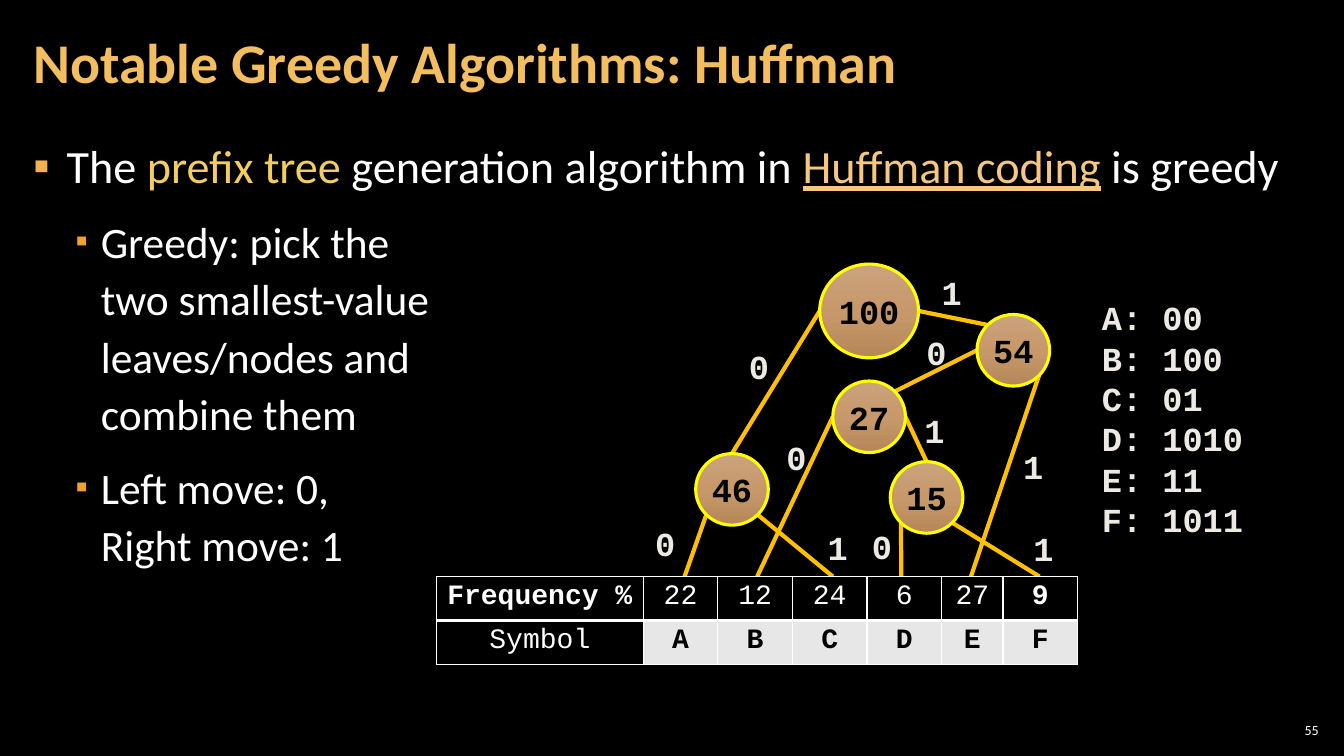
from lxml.etree import SubElement
from pptx import Presentation
from pptx.dml.color import RGBColor
from pptx.enum.shapes import MSO_CONNECTOR, MSO_SHAPE
from pptx.enum.text import MSO_ANCHOR, MSO_AUTO_SIZE, PP_ALIGN
from pptx.oxml.ns import qn
from pptx.util import Inches, Pt

COLORS = {
    "background": "000000", "white": "FFFFFF", "black": "000000",
    "title": "F3BE60", "term": "F3CD60", "link": "F6C781",
    "bullet": "F2B254", "sub_bullet": "F0A22E", "code": "ECEAE3",
    "edge": "FFC000", "ring": "FFFF00", "symbol": "E7E7E7",
    "node_top": "CAA37F", "node_middle": "C79869", "node_bottom": "B68758",
}
SANS, MONO = "Calibri", "Courier New"

# Positions below are inches from the left top corner of the region's box.
TREE_BOX = (6.4, 2.62, 4.14, 3.1)
NODES = {  # left, top, width, height
    "46": (0.5, 1.88, 0.72, 0.71), "15": (2.43, 1.96, 0.72, 0.71),
    "27": (1.86, 1.16, 0.72, 0.71), "54": (3.29, 0.5, 0.72, 0.71),
    "100": (1.73, 0, 0.98, 0.93),
}
DIAGONAL = 0.5 ** 0.5
SITES = {
    "top": (0, -1), "left": (-1, 0), "right": (1, 0),
    "top left": (-DIAGONAL, -DIAGONAL), "top right": (DIAGONAL, -DIAGONAL),
    "bottom left": (-DIAGONAL, DIAGONAL), "bottom right": (DIAGONAL, DIAGONAL),
}
BRANCHES = [
    ("100", "left", "46", "top"), ("100", "right", "54", "top left"),
    ("54", "left", "27", "top right"), ("27", "right", "15", "top"),
]
LEAVES = [  # node, site, x where the edge meets the table
    ("46", "bottom left", 0.39), ("27", "left", 1.11), ("46", "bottom right", 1.86),
    ("15", "bottom left", 2.54), ("54", "bottom right", 3.23), ("15", "bottom right", 3.91),
]
BITS = {
    "0": [(0.93, 0.76), (0, 2.52), (1.3, 1.67), (2.15, 2.55), (2.69, 0.62)],
    "1": [(2.84, 0.03), (3.65, 1.75), (3.75, 2.57), (1.71, 2.56), (2.67, 1.4)],
}
CODES = ["A: 00", "B: 100", "C: 01", "D: 1010", "E: 11", "F: 1011"]
FREQUENCY_ROWS = [
    ["Frequency %", "22", "12", "24", "6", "27", "9"],
    ["Symbol", "A", "B", "C", "D", "E", "F"],
]
COLUMN_WIDTHS = [2.05, 0.74, 0.74, 0.74, 0.74, 0.61, 0.74]


def rgb(name):
    return RGBColor.from_string(COLORS[name])


def style(font, size, color, name=MONO, bold=False):
    font.name, font.size, font.bold = name, Pt(size), bold
    font.color.rgb = rgb(color)


def place(shape, box):
    shape.left, shape.top, shape.width, shape.height = map(Inches, box)


def add_color(parent, name):
    SubElement(parent, qn("a:srgbClr"), val=COLORS[name])


def add_title(page, box):
    title = page.shapes.title
    place(title, box)
    frame = title.text_frame
    frame.auto_size = MSO_AUTO_SIZE.NONE
    frame.vertical_anchor = MSO_ANCHOR.MIDDLE
    frame.margin_left = frame.margin_right = Inches(0.12)
    para = frame.paragraphs[0]
    para.text = "Notable Greedy Algorithms: Huffman"
    para.alignment, para.line_spacing = PP_ALIGN.LEFT, 0.9
    style(para.font, 40, "title", SANS, True)


def set_bullet(para, indent, hanging, color, percent):
    props = para._p.get_or_add_pPr()
    props.set("marL", str(Inches(indent)))
    props.set("indent", str(-Inches(hanging)))
    add_color(SubElement(props, qn("a:buClr")), color)
    SubElement(props, qn("a:buSzPct"), val=str(percent * 1000))
    SubElement(props, qn("a:buFont"), typeface=SANS)
    SubElement(props, qn("a:buChar"), char="▪")


def add_body(page, box):
    body = page.placeholders[1]
    place(body, box)
    frame = body.text_frame
    frame.auto_size = MSO_AUTO_SIZE.NONE
    frame.margin_left = frame.margin_right = Inches(0.12)
    lead = frame.paragraphs[0]
    set_bullet(lead, 0.33, 0.33, "bullet", 100)
    for text, color in [("The ", "white"), ("prefix tree ", "term"),
                        ("generation algorithm in ", "white"),
                        ("Huffman coding", "link"), (" is greedy", "white")]:
        span = lead.add_run()
        span.text = text
        style(span.font, 33, color, SANS)
        span.font.underline = color == "link"
    for text in ["Greedy: pick the\ntwo smallest-value\nleaves/nodes and\ncombine them",
                 "Left move: 0,\nRight move: 1"]:
        para = frame.add_paragraph()
        para.text, para.level = text, 1
        set_bullet(para, 0.67, 0.25, "sub_bullet", 80)
        style(para.font, 31, "white", SANS)
    for para in frame.paragraphs:
        para.line_spacing = 1.1
        para.space_before = Pt(0 if para._p is lead._p else 6)
        para.space_after = Pt(6)


def add_text(page, box, lines):
    frame = page.shapes.add_textbox(*map(Inches, box)).text_frame
    frame.word_wrap = True
    for index, line in enumerate(lines):
        para = frame.paragraphs[0] if index == 0 else frame.add_paragraph()
        para.text = line
        style(para.font, 24, "code", bold=True)
    return frame


def site_point(node, site):
    """Point on the rim of a node, relative to the tree's box."""
    left, top, width, height = NODES[node]
    across, down = SITES[site]
    return left + width / 2 * (1 + across), top + height / 2 * (1 + down)


def add_edges(page, box):
    left, top, _, height = box
    edges = [(site_point(*branch[:2]), site_point(*branch[2:])) for branch in BRANCHES]
    edges += [(site_point(node, site), (x, height)) for node, site, x in LEAVES]
    for (x1, y1), (x2, y2) in edges:
        edge = page.shapes.add_connector(
            MSO_CONNECTOR.STRAIGHT, Inches(left + x1), Inches(top + y1),
            Inches(left + x2), Inches(top + y2))
        edge.line.color.rgb, edge.line.width = rgb("edge"), Pt(3)
        SubElement(edge._element.spPr, qn("a:effectLst"))


def add_bits(page, box):
    for bit, spots in BITS.items():
        for x, y in spots:
            add_text(page, (box[0] + x, box[1] + y, 0.39, 0.5), [bit])


def fill_node(node):
    """Give the node a vertical gradient of three stops."""
    node.fill.gradient()
    gradient = node._element.spPr.find(qn("a:gradFill"))
    for child in list(gradient):
        gradient.remove(child)
    stops = SubElement(gradient, qn("a:gsLst"))
    for percent, color in [(0, "node_top"), (50, "node_middle"), (100, "node_bottom")]:
        add_color(SubElement(stops, qn("a:gs"), pos=str(percent * 1000)), color)
    SubElement(gradient, qn("a:lin"), ang="5400000", scaled="0")


def add_nodes(page, box):
    for value, (x, y, width, height) in NODES.items():
        node = page.shapes.add_shape(
            MSO_SHAPE.OVAL, *map(Inches, (box[0] + x, box[1] + y, width, height)))
        node.shadow.inherit = False
        fill_node(node)
        node.line.color.rgb, node.line.width = rgb("ring"), Pt(2.25)
        frame = node.text_frame
        frame.margin_left = frame.margin_right = frame.margin_top = frame.margin_bottom = 0
        frame.vertical_anchor, frame.word_wrap = MSO_ANCHOR.MIDDLE, False
        para = frame.paragraphs[0]
        para.text, para.alignment = value, PP_ALIGN.CENTER
        style(para.font, 24, "black", bold=True)


def add_borders(cell, bottom):
    props = cell._tc.get_or_add_tcPr()
    for side, width in [("L", 1), ("R", 1), ("T", 1), ("B", bottom)]:
        line = SubElement(props, qn(f"a:ln{side}"), w=str(Pt(width)))
        add_color(SubElement(line, qn("a:solidFill")), "white")


def add_frequency_table(page, box):
    table = page.shapes.add_table(2, len(COLUMN_WIDTHS), *map(Inches, box)).table
    for column, width in zip(table.columns, COLUMN_WIDTHS):
        column.width = Inches(width)
    for r, row in enumerate(FREQUENCY_ROWS):
        for c, text in enumerate(row):
            cell = table.cell(r, c)
            is_symbol = r == 1 and c > 0
            add_borders(cell, 1 if r else 3)
            cell.fill.solid()
            cell.fill.fore_color.rgb = rgb("symbol" if is_symbol else "background")
            para = cell.text_frame.paragraphs[0]
            para.text, para.alignment = text, PP_ALIGN.CENTER
            style(para.font, 20, "black" if is_symbol else "white",
                  bold=is_symbol or text in ("Frequency %", "9"))


def add_page_number(page, box):
    frame = add_text(page, box, ["55"])
    frame.margin_left = frame.margin_right = frame.margin_top = frame.margin_bottom = Inches(0.04)
    frame.vertical_anchor = MSO_ANCHOR.MIDDLE
    para = frame.paragraphs[0]
    para.alignment = PP_ALIGN.RIGHT
    style(para.font, 10, "white", SANS)


def main():
    deck = Presentation()
    deck.slide_width, deck.slide_height = Inches(13.33), Inches(7.5)
    page = deck.slides.add_slide(deck.slide_layouts[1])
    page.background.fill.solid()
    page.background.fill.fore_color.rgb = rgb("background")
    add_title(page, (0.21, 0.04, 10.47, 1.21))
    add_body(page, (0.21, 1.26, 12.91, 6.09))
    add_edges(page, TREE_BOX)
    add_bits(page, TREE_BOX)
    add_text(page, (10.83, 2.9, 1.82, 2.52), CODES)
    add_frequency_table(page, (4.33, 5.72, 6.36, 0.87))
    add_page_number(page, (12.65, 7.14, 0.47, 0.21))
    add_nodes(page, TREE_BOX)
    deck.save("out.pptx")


if __name__ == "__main__":
    main()
